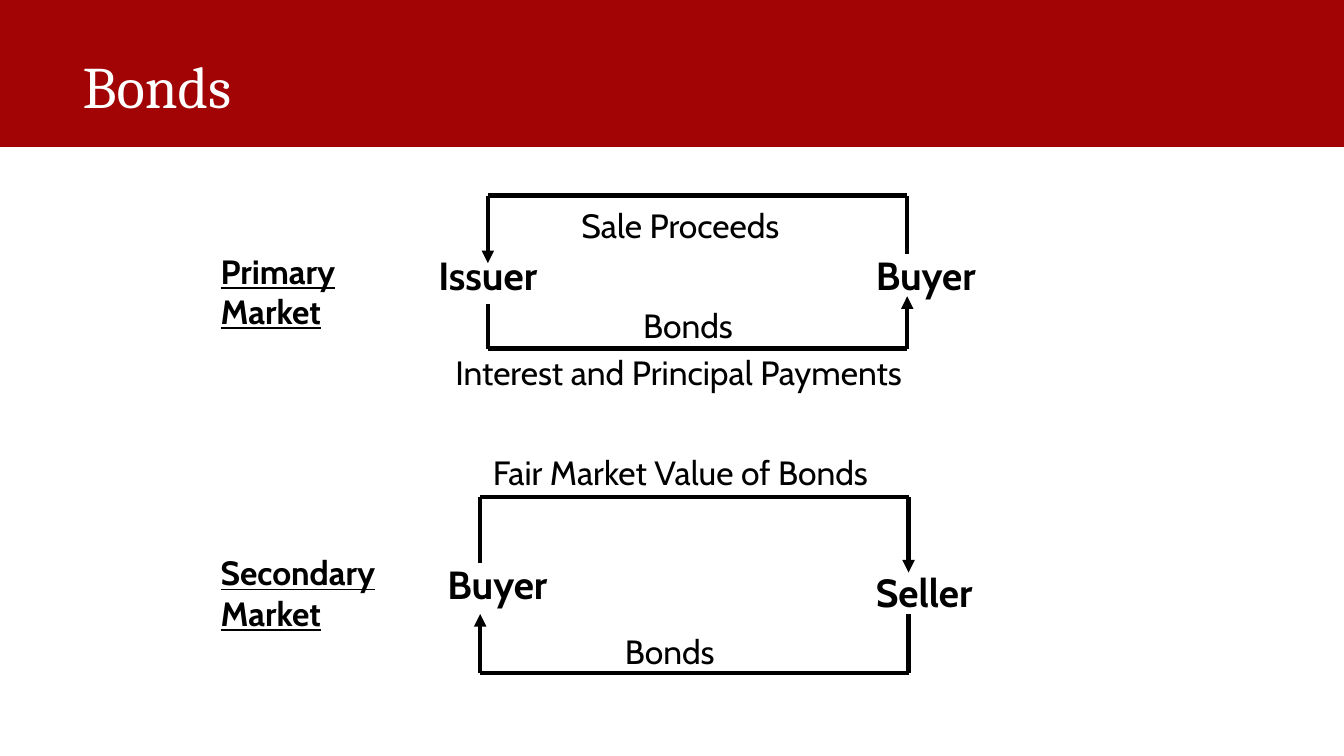
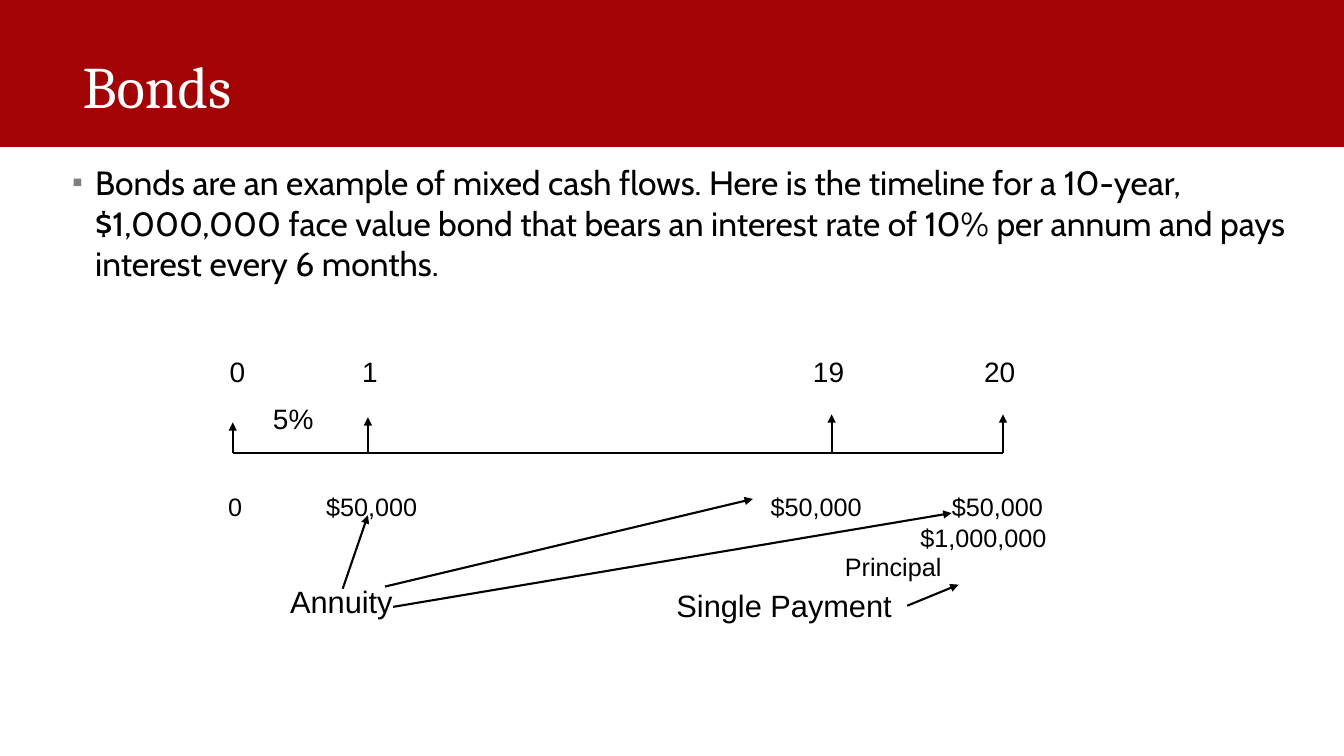
from itertools import pairwise

from lxml.etree import SubElement
from pptx import Presentation
from pptx.dml.color import RGBColor
from pptx.enum.shapes import MSO_CONNECTOR as Connector
from pptx.enum.shapes import MSO_SHAPE as Shape
from pptx.enum.text import MSO_ANCHOR as Anchor
from pptx.enum.text import PP_ALIGN as Align
from pptx.oxml.ns import qn
from pptx.util import Pt

COLORS = {"band": "A20305", "title": "FFFFFF", "ink": "000000", "bullet": "808080"}
TITLE_FONT, BODY_FONT, TIMELINE_FONT = "Cambria", "Cabin", "Arial"
WIDTH, HEIGHT, BAND_HEIGHT = 960, 540, 104.4
INSET = (7.2, 3.6)

TITLE = "Bonds"
MARKETS = [("Primary Market", 150.5, 175.7, 114), ("Secondary Market", 150.5, 391, 138)]
PARTIES = [
    ("Issuer", 306, 175.7),
    ("Buyer", 618.5, 175.7),
    ("Buyer", 312.5, 396.7),
    ("Seller", 618.5, 402.5),
]
FLOWS = [
    ("Sale Proceeds", 408.2, 142.6, 198),
    ("Bonds", 452.2, 214.6, 84),
    ("Interest and Principal Payments", 318.2, 247.7, 366),
    ("Fair Market Value of Bonds", 344.9, 319, 312),
    ("Bonds", 439.2, 447.1, 114),
]
FLOW_ROUTES = [
    [(648, 181.5), (648, 139.7), (348.5, 139.7), (348.5, 188)],
    [(348.5, 217.5), (348.5, 249), (648, 249), (648, 211.7)],
    [(343, 402.5), (343, 355), (649, 355), (649, 409)],
    [(649, 438.5), (649, 481), (343, 481), (343, 438.5)],
]

INTRO = (
    "Bonds are an example of mixed cash flows. Here is the timeline for a 10-year, "
    "$1,000,000 face value bond that bears an interest rate of 10% per annum and pays "
    "interest every 6 months."
)
AXIS_Y = 323.3
TICKS = [(166.3, 301.7), (262.8, 298), (594, 296), (716.4, 296)]
PERIODS = [("0", 169.6), ("1", 264.3), ("19", 591.8), ("20", 714)]
CASH_FLOWS = [
    ("0", 168, 351),
    ("$50,000", 265.4, 351),
    ("$50,000", 583, 351),
    ("$50,000", 712.5, 351),
    ("$1,000,000", 702.5, 373),
    ("Principal", 638, 394),
]
NOTES = [
    ("5%", 195, 287, 20),
    ("Annuity", 207.2, 416, 22),
    ("Single Payment", 483.2, 419, 22),
]
NOTE_ARROWS = [
    [(244.8, 420.5), (262.8, 368)],
    [(280.8, 433.5), (679.7, 366.5)],
    [(275, 419), (537.8, 356.4)],
    [(648, 432.7), (684.7, 417.6)],
]


def rgb(name):
    return RGBColor.from_string(COLORS[name])


def add_text(slide, text, left, top, width, height, size, font, color="ink",
             bold=False, underline=False, align=Align.LEFT, inset=(0, 0)):
    box = slide.shapes.add_textbox(Pt(left), Pt(top), Pt(width), Pt(height))
    frame = box.text_frame
    frame.word_wrap = True
    frame.margin_left = frame.margin_right = Pt(inset[0])
    frame.margin_top = frame.margin_bottom = Pt(inset[1])
    paragraph = frame.paragraphs[0]
    paragraph.alignment = align
    run = paragraph.add_run()
    run.text = text
    run.font.name = font
    run.font.size = Pt(size)
    run.font.bold = bold
    run.font.underline = underline
    run.font.color.rgb = rgb(color)
    return frame


def add_route(slide, points, weight, arrow=True):
    for start, end in pairwise(points):
        line = slide.shapes.add_connector(
            Connector.STRAIGHT, *(Pt(value) for value in start + end))
        line.line.color.rgb = rgb("ink")
        line.line.width = Pt(weight)
        properties = line.line._get_or_add_ln()
        if arrow and end == points[-1]:
            SubElement(properties, qn("a:tailEnd"), type="triangle")
        SubElement(properties.getparent(), qn("a:effectLst"))


def add_bullet(paragraph):
    properties = paragraph._p.get_or_add_pPr()
    properties.set("marL", str(Pt(16)))
    properties.set("indent", str(-Pt(16)))
    color = SubElement(properties, qn("a:buClr"))
    SubElement(color, qn("a:srgbClr"), val=COLORS["bullet"])
    SubElement(properties, qn("a:buSzPct"), val="46000")
    SubElement(properties, qn("a:buFont"), typeface=TIMELINE_FONT)
    SubElement(properties, qn("a:buChar"), char="■")


def add_titled_slide(presentation):
    slide = presentation.slides.add_slide(presentation.slide_layouts[6])
    band = slide.shapes.add_shape(Shape.RECTANGLE, 0, 0, Pt(WIDTH), Pt(BAND_HEIGHT))
    band.shadow.inherit = False
    band.fill.solid()
    band.fill.fore_color.rgb = band.line.color.rgb = rgb("band")
    band.line.width = Pt(1)
    frame = add_text(slide, TITLE, 52, 11.5, 828, BAND_HEIGHT, 42, TITLE_FONT,
                     "title", inset=INSET)
    frame.vertical_anchor = Anchor.MIDDLE
    frame.paragraphs[0].line_spacing = 0.9
    return slide


def build_markets(presentation):
    slide = add_titled_slide(presentation)
    for text, left, top, width in MARKETS:
        add_text(slide, text, left, top, width, 65.5, 24, BODY_FONT,
                 bold=True, underline=True, inset=INSET)
    for text, left, top in PARTIES:
        add_text(slide, text, left, top, 102, 41, 28, BODY_FONT, bold=True, inset=INSET)
    for text, left, top, width in FLOWS:
        add_text(slide, text, left, top, width, 36, 24, BODY_FONT, inset=INSET)
    for points in FLOW_ROUTES:
        add_route(slide, points, 3)


def build_timeline(presentation):
    slide = add_titled_slide(presentation)
    intro = add_text(slide, INTRO, 52, 116, 891, 100, 24, BODY_FONT)
    add_bullet(intro.paragraphs[0])
    add_route(slide, [(TICKS[0][0], AXIS_Y), (TICKS[-1][0], AXIS_Y)], 1.5, arrow=False)
    for x, tip in TICKS:
        add_route(slide, [(x, AXIS_Y), (x, tip)], 1.5)
    for text, center in PERIODS:
        add_text(slide, text, center - 30, 253, 60, 24, 20, TIMELINE_FONT,
                 align=Align.CENTER)
    for text, center, top in CASH_FLOWS:
        add_text(slide, text, center - 55, top, 110, 21, 18, TIMELINE_FONT,
                 align=Align.CENTER)
    for text, left, top, size in NOTES:
        add_text(slide, text, left, top, size * 8, size * 1.2, size, TIMELINE_FONT)
    for points in NOTE_ARROWS:
        add_route(slide, points, 1.5)


def main():
    presentation = Presentation()
    presentation.slide_width, presentation.slide_height = Pt(WIDTH), Pt(HEIGHT)
    build_markets(presentation)
    build_timeline(presentation)
    presentation.save("out.pptx")


if __name__ == "__main__":
    main()
